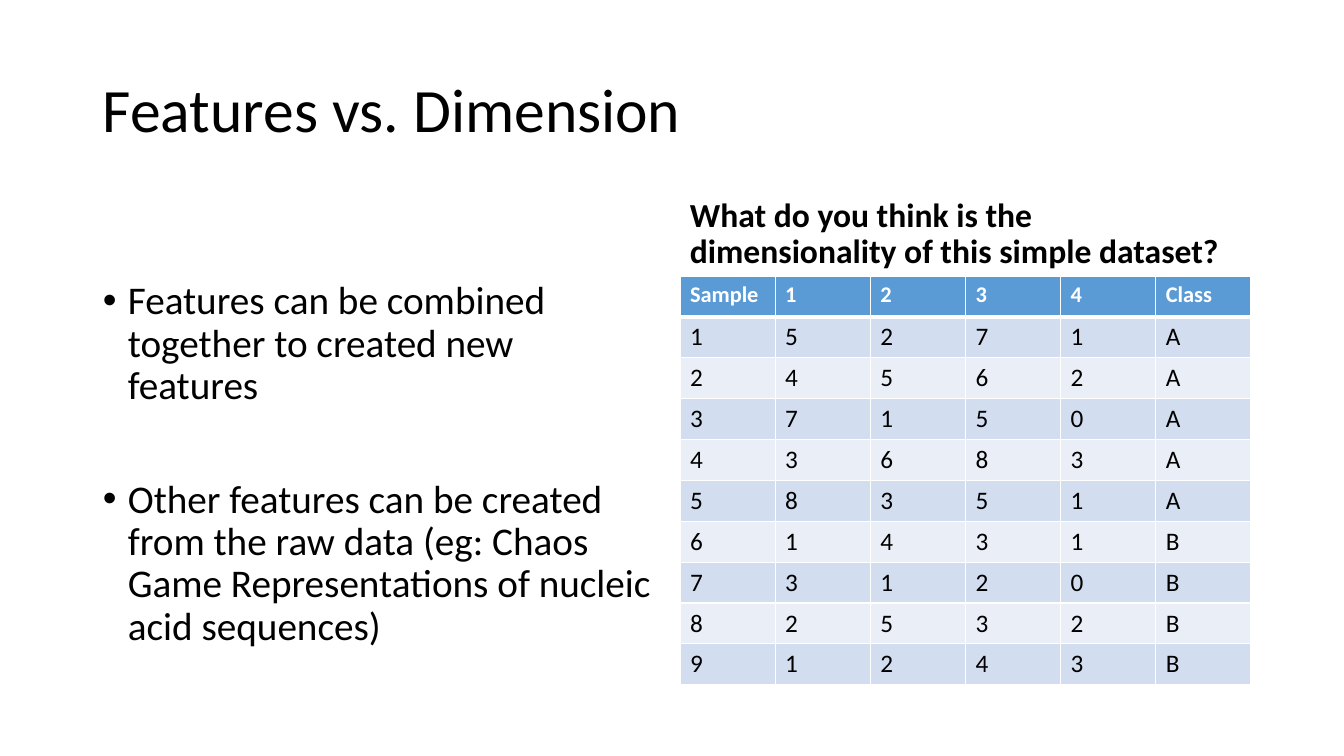
"""Build the slide that compares features with dimension."""
from dataclasses import dataclass

from lxml import etree
from pptx import Presentation
from pptx.dml.color import RGBColor
from pptx.enum.text import MSO_ANCHOR
from pptx.oxml.ns import qn
from pptx.util import Emu, Pt

TOP, MIDDLE, BOTTOM = MSO_ANCHOR.TOP, MSO_ANCHOR.MIDDLE, MSO_ANCHOR.BOTTOM
BLACK = RGBColor(0x00, 0x00, 0x00)
WHITE = RGBColor(0xFF, 0xFF, 0xFF)
HEADER_BLUE = RGBColor(0x5B, 0x9B, 0xD5)
BAND_DARK = RGBColor(0xD2, 0xDE, 0xEF)
BAND_LIGHT = RGBColor(0xEA, 0xEF, 0xF7)
FONT = "Calibri"
EMU_PER_PIXEL = 914400 / 100.8
BULLET_INDENT = 25


@dataclass(frozen=True)
class TextBlock:
    """Text box with its place in pixels and its paragraphs."""
    left: int
    top: int
    width: int
    height: int
    size: int
    anchor: MSO_ANCHOR
    paragraphs: tuple[str, ...]
    spaces_before: tuple[int, ...]
    bold: bool = False
    bulleted: bool = False


BLOCKS = (
    TextBlock(93, 40, 1159, 146, 44, MIDDLE, ("Features vs. Dimension",), (0,)),
    TextBlock(93, 276, 568, 406, 28, TOP, (
        "Features can be combined together to created new features",
        "Other features can be created from the raw data "
        "(eg: Chaos Game Representations of nucleic acid sequences)",
    ), (10, 51), bulleted=True),
    TextBlock(680, 185, 571, 91, 24, BOTTOM,
              ("What do you think is the dimensionality of this simple dataset?",),
              (10,), bold=True),
)
HEADINGS = ("Sample", "1", "2", "3", "4", "Class")
SAMPLES = ("5271A", "4562A", "7150A", "3683A", "8351A",
           "1431B", "3120B", "2532B", "1243B")
TABLE_LEFT, TABLE_TOP, TABLE_WIDTH, TABLE_HEIGHT = 680, 276, 571, 409


def pixels(length: float) -> Emu:
    """Turn pixels into EMU."""
    return Emu(round(length * EMU_PER_PIXEL))


def apply_format(target: object, values: dict[str, object]) -> None:
    """Set each named attribute on the target."""
    for name, value in values.items():
        setattr(target, name, value)


def write_span(para, text: str, size: int, color: RGBColor, bold: bool) -> None:
    """Add one formatted run to a paragraph."""
    span = para.add_run()
    span.text = text
    apply_format(span.font, {"name": FONT, "size": Pt(size), "bold": bold})
    span.font.color.rgb = color


def add_bullet(para) -> None:
    """Give a paragraph a hanging bullet."""
    properties = para._p.get_or_add_pPr()
    properties.set("marL", str(pixels(BULLET_INDENT)))
    properties.set("indent", str(-pixels(BULLET_INDENT)))
    etree.SubElement(properties, qn("a:buFont"), typeface="Arial")
    etree.SubElement(properties, qn("a:buChar"), char="•")


def draw_block(page, block: TextBlock) -> None:
    """Draw one text block."""
    place = (block.left, block.top, block.width, block.height)
    box = page.shapes.add_textbox(*map(pixels, place))
    frame = box.text_frame
    apply_format(frame, {"word_wrap": True, "vertical_anchor": block.anchor})
    for index, text in enumerate(block.paragraphs):
        para = frame.add_paragraph() if index else frame.paragraphs[0]
        apply_format(para, {"line_spacing": 0.9,
                            "space_before": Pt(block.spaces_before[index])})
        if block.bulleted:
            add_bullet(para)
        write_span(para, text, block.size, BLACK, block.bold)


def add_borders(cell, widths: dict[str, int]) -> None:
    """Draw white cell borders with the given point widths."""
    properties = cell._tc.get_or_add_tcPr()
    for side, width in widths.items():
        line = etree.SubElement(properties, qn(f"a:ln{side}"), w=str(Pt(width)))
        fill = etree.SubElement(line, qn("a:solidFill"))
        etree.SubElement(fill, qn("a:srgbClr"), val=str(WHITE))


def draw_table(page) -> None:
    """Draw the banded dataset table."""
    rows = [HEADINGS] + [(str(number), *values)
                         for number, values in enumerate(SAMPLES, 1)]
    place = (TABLE_LEFT, TABLE_TOP, TABLE_WIDTH, TABLE_HEIGHT)
    table = page.shapes.add_table(len(rows), len(HEADINGS), *map(pixels, place)).table
    for row_index, row in enumerate(rows):
        header = row_index == 0
        band = HEADER_BLUE if header else BAND_DARK if row_index % 2 else BAND_LIGHT
        size, color = (16, WHITE) if header else (18, BLACK)
        widths = {"L": 1, "R": 1, "T": 3 if row_index == 1 else 1, "B": 3 if header else 1}
        for column_index, text in enumerate(row):
            cell = table.cell(row_index, column_index)
            add_borders(cell, widths)
            cell.fill.solid()
            cell.fill.fore_color.rgb = band
            write_span(cell.text_frame.paragraphs[0], text, size, color, header)


def main() -> None:
    """Create and save the deck."""
    deck = Presentation()
    apply_format(deck, {"slide_width": pixels(1344), "slide_height": pixels(756)})
    page = deck.slides.add_slide(deck.slide_layouts[6])
    for block in BLOCKS:
        draw_block(page, block)
    draw_table(page)
    deck.save("out.pptx")


main()
